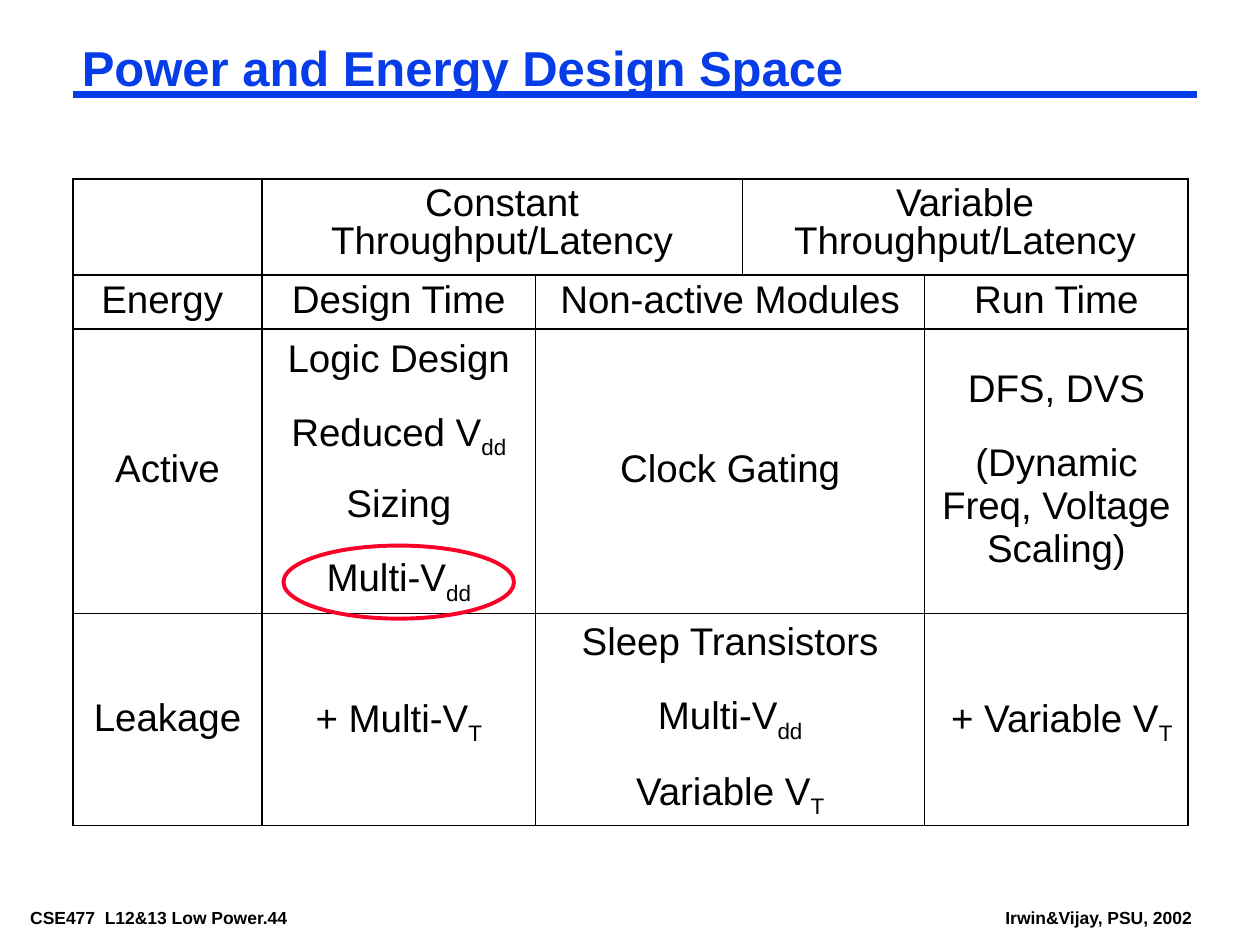
"""Build the power and energy design space slide."""
import pptx
import pptx.util
import pptx.dml.color
import pptx.enum.shapes
import pptx.enum.text
import pptx.oxml
import pptx.oxml.ns
from pptx.util import Inches

BLUE, RED, BLACK = "063DE8", "FC0128", "000000"
COLS = [1.5, 2.17, 1.64, 1.45, 2.09]
ROWS = [0.76, 0.43, 2.26, 1.68]
COL_LINES = [1.08, 1.47, 0.45, 0.45, 0.45, 1.08]
ROW_LINES = [1.08, 1.08, 1.47, 0.45, 1.08]
CELLS = [
    [(0, 1, ""), (1, 2, "Constant Throughput/Latency"),
     (3, 2, "Variable Throughput/Latency")],
    [(0, 1, "Energy "), (1, 1, "Design Time"),
     (2, 2, "Non-active Modules"), (4, 1, "Run Time")],
    [(0, 1, "Active"),
     (1, 1, "Logic Design\nReduced V_dd\nSizing\nMulti-V_dd"),
     (2, 2, "Clock Gating"),
     (4, 1, "DFS, DVS\n(Dynamic Freq, Voltage Scaling)")],
    [(0, 1, "Leakage"), (1, 1, "+ Multi-V_T"),
     (2, 2, "Sleep Transistors\nMulti-V_dd\nVariable V_T"),
     (4, 1, " + Variable V_T")],
]


def color(code):
    """Return the colour for a hex string."""
    return pptx.dml.color.RGBColor.from_string(code)


def write(frame, text, size=22, ink=BLACK, bold=False, align="LEFT",
          space=None, gap=0):
    """Write lines into a frame, with an underscore before each subscript."""
    for i, line in enumerate(text.split("\n")):
        para = frame.add_paragraph() if i else frame.paragraphs[0]
        para.alignment = getattr(pptx.enum.text.PP_ALIGN, align)
        para.line_spacing = 1.0 if line.startswith("(") else space
        para.space_before = pptx.util.Pt(gap if i else 0)
        for j, part in enumerate(line.split("_")):
            run = para.add_run()
            run.text = part
            run.font.name = "Arial"
            run.font.size = pptx.util.Pt(size)
            run.font.bold = bold
            run.font.color.rgb = color(ink)
            if j:
                run.font._element.set("baseline", "-25000")


def setup(frame, wrap):
    """Set the margins and fit of a text frame."""
    frame.margin_left = frame.margin_right = Inches(0.07)
    frame.margin_top = frame.margin_bottom = Inches(0.03)
    frame.word_wrap = wrap
    frame.vertical_anchor = pptx.enum.text.MSO_ANCHOR.TOP
    frame.auto_size = pptx.enum.text.MSO_AUTO_SIZE.SHAPE_TO_FIT_TEXT


def add_note(slide, left, width, text):
    """Add a footer text box."""
    box = slide.shapes.add_textbox(
        Inches(left), Inches(7.17), Inches(width), Inches(0.22))
    setup(box.text_frame, False)
    write(box.text_frame, text, size=10, bold=True)


def add_rule(slide):
    """Add the line below the title."""
    rule = slide.shapes.add_connector(
        pptx.enum.shapes.MSO_CONNECTOR.STRAIGHT,
        Inches(0.58), Inches(0.75), Inches(9.5), Inches(0.75))
    rule.line.color.rgb = color(BLUE)
    rule.line.width = pptx.util.Pt(4.5)
    rule._element.spPr.append(pptx.oxml.parse_xml(
        f'<a:effectLst {pptx.oxml.ns.nsdecls("a")}/>'))


def set_title(slide, text):
    """Place and fill the title."""
    title = slide.shapes.title
    title.left, title.top = Inches(0.58), Inches(0.33)
    title.width, title.height = Inches(8.92), Inches(0.46)
    setup(title.text_frame, True)
    write(title.text_frame, text, size=28, ink=BLUE, bold=True, space=0.87)


def set_edges(cell, edges):
    """Clear a cell's fill and draw its edges, given as side and width."""
    cell.fill.background()
    props = cell._tc.get_or_add_tcPr()
    for i, (side, width) in enumerate(edges):
        props.insert(i, pptx.oxml.parse_xml(
            f'<a:ln{side} {pptx.oxml.ns.nsdecls("a")}'
            f' w="{pptx.util.Pt(width)}"><a:solidFill>'
            f'<a:srgbClr val="{BLACK}"/></a:solidFill></a:ln{side}>'))


def add_grid(slide):
    """Add the design space table."""
    table = slide.shapes.add_table(
        len(ROWS), len(COLS), Inches(0.58), Inches(1.42),
        Inches(sum(COLS)), Inches(sum(ROWS))).table
    table.first_row = table.horz_banding = False
    for col, width in zip(table.columns, COLS):
        col.width = Inches(width)
    for row, height in zip(table.rows, ROWS):
        row.height = Inches(height)
    anchor = pptx.enum.text.MSO_ANCHOR
    for r, items in enumerate(CELLS):
        for c, span, text in items:
            cell, end = table.cell(r, c), c + span
            if span > 1:
                cell.merge(table.cell(r, end - 1))
            for k in range(c, end):
                left = [("L", COL_LINES[c])] if k == c else []
                set_edges(table.cell(r, k), left + [
                    ("R", COL_LINES[end]), ("T", ROW_LINES[r]),
                    ("B", ROW_LINES[r + 1])])
            cell.vertical_anchor = anchor.MIDDLE if r else anchor.TOP
            if text:
                write(cell.text_frame, text, align="CENTER", space=0.9,
                      gap=17.9)


def add_ring(slide):
    """Add the ellipse that marks one entry."""
    ring = slide.shapes.add_shape(
        pptx.enum.shapes.MSO_SHAPE.OVAL,
        Inches(2.25), Inches(4.33), Inches(1.83), Inches(0.58))
    ring.shadow.inherit = False
    ring.fill.background()
    ring.line.color.rgb = color(RED)
    ring.line.width = pptx.util.Pt(2.25)


def main():
    """Build and save the slide."""
    deck = pptx.Presentation()
    deck.slide_width, deck.slide_height = Inches(10), Inches(7.5)
    slide = deck.slides.add_slide(deck.slide_layouts[5])
    add_note(slide, 0.17, 2.7, "CSE477  L12&13 Low Power.44")
    add_note(slide, 7.91, 1.63, "Irwin&Vijay, PSU, 2002")
    add_rule(slide)
    set_title(slide, "Power and Energy Design Space")
    add_grid(slide)
    add_ring(slide)
    deck.save("out.pptx")


if __name__ == "__main__":
    main()
